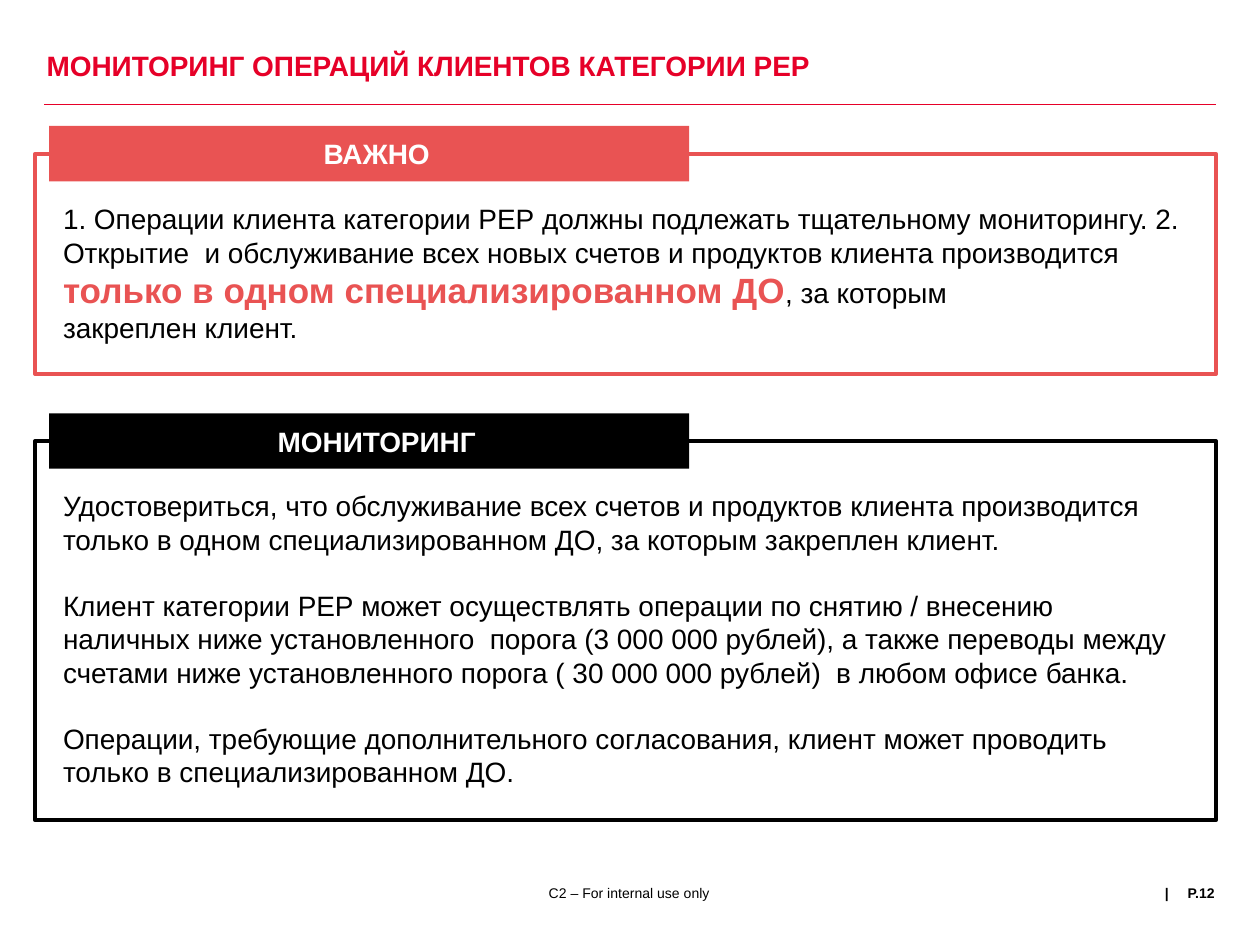
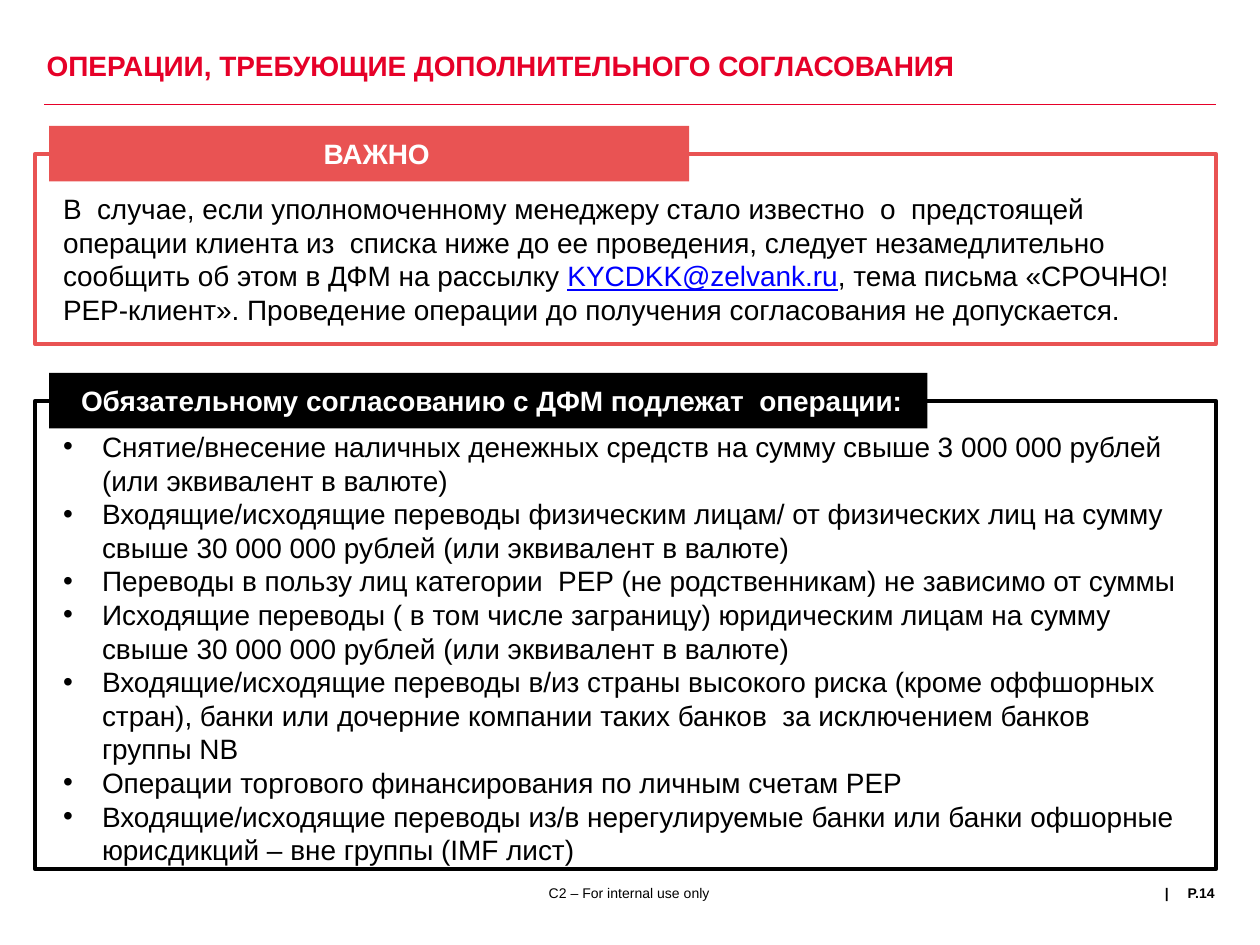
from lxml import etree
from pptx import Presentation
from pptx.dml.color import RGBColor
from pptx.enum.shapes import MSO_CONNECTOR as CONN, MSO_SHAPE as SHAPE
from pptx.enum.text import MSO_ANCHOR as ANCHOR, MSO_AUTO_SIZE as AUTO, PP_ALIGN as ALIGN
from pptx.oxml.ns import qn
from pptx.util import Inches, Pt

RED = RGBColor(0xE6, 0x00, 0x28)
CORAL = RGBColor(0xE9, 0x53, 0x53)
BLACK = RGBColor(0x00, 0x00, 0x00)
WHITE = RGBColor(0xFF, 0xFF, 0xFF)
LINK = RGBColor(0x00, 0x00, 0xFF)
FONT = "Arial"
NBSP = chr(160)

prs = Presentation()
prs.slide_width, prs.slide_height = Inches(10), Inches(7.5)

# Shared grid, in percent of the slide's width and height
FRAME_X, FRAME_W = 2.8, 93.7
LABEL_X, LABEL_H = 3.9, 5.87
TEXT_X, TEXT_W = 4, 90.9
FOOT_Y, FOOT_H = 93.6, 6.4


def box(left, top, width, height):
    """Turn percentages of the slide into lengths."""
    w, h = prs.slide_width / 100, prs.slide_height / 100
    return [int(v) for v in (left * w, top * h, width * w, height * h)]


def add_run(p, text, size=16, color=BLACK, bold=False, underline=False):
    r = p.add_run()
    r.text = text
    f = r.font
    f.name, f.size, f.bold, f.underline = FONT, Pt(size), bold, underline
    f.color.rgb = color


# Panels: colour, label, label width, frame top, frame height,
# text offset, bulleted, paragraphs made of (text, run format)
slides = [
    ("МОНИТОРИНГ ОПЕРАЦИЙ КЛИЕНТОВ КАТЕГОРИИ РЕР", "P.12", [
        (CORAL, "ВАЖНО", 50.8, 16.27, 23.33, 4.4, False, [
            [("1. Операции клиента категории РЕР должны подлежать тщательному мониторингу. "
              f"2. Открытие {NBSP}и обслуживание всех новых счетов и продуктов клиента "
              "производится ", {}),
             ("только в одном специализированном ДО",
              {"size": 20, "color": CORAL, "bold": True}),
             (f", за которым закреплен{NBSP}клиент.", {})],
        ]),
        (BLACK, "МОНИТОРИНГ", 50.8, 46.67, 40.13, 4.4, False, [
            [("Удостовериться, что обслуживание всех счетов и продуктов клиента производится "
              "только в одном специализированном ДО, за которым закреплен клиент.", {})],
            [("Клиент категории РЕР может осуществлять операции по снятию / внесению  "
              "наличных ниже установленного  порога (3 000 000 рублей), а также переводы "
              "между счетами ниже установленного порога ( 30 000 000 рублей)  в любом "
              "офисе банка.", {})],
            [("Операции, требующие дополнительного согласования, клиент может проводить "
              "только в специализированном ДО.", {})],
        ]),
    ]),
    ("ОПЕРАЦИИ, ТРЕБУЮЩИЕ ДОПОЛНИТЕЛЬНОГО СОГЛАСОВАНИЯ", "P.14", [
        (CORAL, "ВАЖНО", 50.8, 16.27, 20.13, 3.33, False, [
            [("В  случае, если уполномоченному менеджеру стало известно  о  предстоящей "
              "операции клиента из  списка ниже до ее проведения, следует незамедлительно  "
              "сообщить об этом в ДФМ на рассылку ", {}),
             ("KYCDKK@zelvank.ru", {"color": LINK, "underline": True}),
             (", тема письма «СРОЧНО! PEP-клиент». Проведение операции до получения "
              "согласования не допускается.", {})],
        ]),
        (BLACK, "Обязательному согласованию с ДФМ подлежат  операции: ", 69.7,
         42.4, 49.6, 2.4, True, [
            [("Снятие/внесение наличных денежных средств на сумму свыше 3 000 000 рублей "
              "(или эквивалент в валюте)", {})],
            [("Входящие/исходящие переводы физическим лицам/ от физических лиц на сумму "
              "свыше 30 000 000 рублей (или эквивалент в валюте)", {})],
            [("Переводы в пользу лиц категории  РЕР (не родственникам) не зависимо от суммы",
              {})],
            [("Исходящие переводы ( в том числе заграницу) юридическим лицам на сумму "
              "свыше 30 000 000 рублей (или эквивалент в валюте)", {})],
            [("Входящие/исходящие переводы в/из страны высокого риска (кроме оффшорных "
              "стран), банки или дочерние компании таких банков  за исключением банков "
              "группы NB", {})],
            [("Операции торгового финансирования по личным счетам РЕР", {})],
            [("Входящие/исходящие переводы из/в нерегулируемые банки или банки офшорные "
              "юрисдикций – вне группы (IMF лист)", {})],
        ]),
    ]),
]

for title, page, panels in slides:
    s = prs.slides.add_slide(prs.slide_layouts.get_by_name("Two Content"))

    # Title
    sp = s.shapes.title
    sp.left, sp.top, sp.width, sp.height = box(3.7, 3.73, 85.6, 7.33)
    tf = sp.text_frame
    tf.margin_left = tf.margin_right = tf.margin_top = tf.margin_bottom = 0
    tf.vertical_anchor, tf.auto_size = ANCHOR.MIDDLE, AUTO.NONE
    p = tf.paragraphs[0]
    p.alignment, p.line_spacing = ALIGN.LEFT, 0.7
    add_run(p, title, color=RED, bold=True)

    # Rule under the title
    x, y, w, _ = box(3.5, 11.07, 93, 0)
    rule = s.shapes.add_connector(CONN.STRAIGHT, x + w, y, x, y)
    rule.line.color.rgb, rule.line.width = RED, Pt(0.5)
    etree.SubElement(rule._element.spPr, qn("a:effectLst"))

    # Footer
    for text, left, width, align, bold in [
        ("|", 92.2, 0.8, ALIGN.CENTER, True),
        (page, 92.5, 3.9, ALIGN.RIGHT, True),
        ("C2 – For internal use only", 30.3, 39.3, ALIGN.CENTER, False),
    ]:
        tf = s.shapes.add_textbox(*box(left, FOOT_Y, width, FOOT_H)).text_frame
        tf.margin_left = tf.margin_right = tf.margin_top = tf.margin_bottom = 0
        tf.word_wrap = text != "|"
        p = tf.paragraphs[0]
        p.alignment = align
        add_run(p, text, size=8, bold=bold)

    # Framed panels with a label on the top edge
    bodies = list(s.placeholders)[1:]
    for body, panel in zip(bodies, panels):
        color, label, label_w, top, height, offset, bulleted, paragraphs = panel

        frame = s.shapes.add_shape(SHAPE.RECTANGLE, *box(FRAME_X, top, FRAME_W, height))
        frame.shadow.inherit = False
        frame.fill.background()
        frame.line.color.rgb, frame.line.width = color, Pt(2.25)

        tab = s.shapes.add_shape(
            SHAPE.RECTANGLE, *box(LABEL_X, top - LABEL_H / 2, label_w, LABEL_H))
        tab.shadow.inherit = False
        tab.fill.solid()
        tab.fill.fore_color.rgb = color
        tab.line.fill.background()
        tf = tab.text_frame
        tf.margin_left, tf.margin_right = Inches(0.12), 0
        tf.vertical_anchor, tf.word_wrap = ANCHOR.MIDDLE, True
        p = tf.paragraphs[0]
        p.alignment = ALIGN.CENTER
        add_run(p, label, color=WHITE, bold=True)

        # Panel text
        body.left, body.top, body.width, body.height = box(
            TEXT_X, top + offset, TEXT_W, height - offset)
        tf = body.text_frame
        tf.auto_size, tf.vertical_anchor = AUTO.NONE, ANCHOR.TOP
        for i, runs in enumerate(paragraphs):
            p = tf.paragraphs[0] if i == 0 else tf.add_paragraph()
            p.space_before = Pt(18.4 if i and not bulleted else 0)
            pPr = p._p.get_or_add_pPr()
            indent = Inches(0.31) if bulleted else 0
            pPr.set("marL", str(indent))
            pPr.set("indent", str(-indent))
            if bulleted:
                etree.SubElement(pPr, qn("a:buChar"), char="•")
            else:
                etree.SubElement(pPr, qn("a:buNone"))
            for text, style in runs:
                add_run(p, text, **style)

prs.save("out.pptx")
